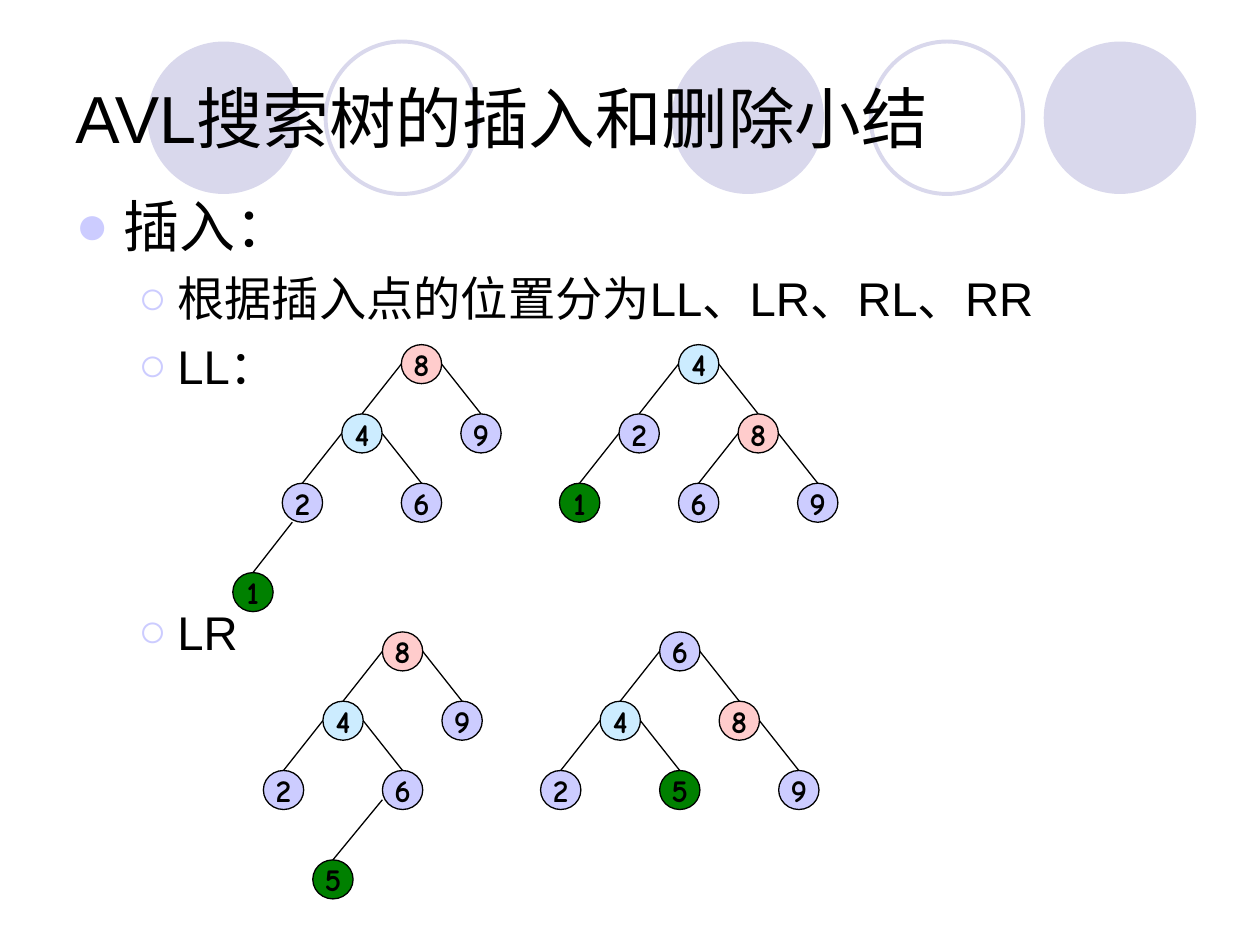
from dataclasses import dataclass
from lxml import etree
from pptx import Presentation, util as u
from pptx.dml.color import RGBColor
from pptx.enum import shapes as sh, text as tx
from pptx.oxml.ns import qn


@dataclass(frozen=True)
class Theme:
    """Colours, fonts and type sizes of the slide."""
    ink: str = "000000"
    pale: str = "D9D8EC"
    lilac: str = "CCCCFF"
    sky: str = "CCECFF"
    pink: str = "FFCCCC"
    green: str = "008000"
    sans: str = "Arial"
    comic: str = "Comic Neue"
    title: float = 38
    head: float = 32
    item: float = 27
    node: float = 18


T = Theme()
WIDE, HIGH = 10, 7.5
NODE_W, NODE_H = 0.32, 0.31
KEY_FILL = {8: T.pink, 4: T.sky}
DEEP = 3.29  # level of a newly hung leaf


def rgb(code):
    """Turn a hex code into a colour."""
    return RGBColor.from_string(code)


def inch(*sizes):
    """Turn inches into slide units."""
    return [u.Inches(size) for size in sizes]


def style(para, size, face=T.sans, bold=False):
    """Set the font of a paragraph."""
    font = para.font
    font.size, font.name, font.bold = u.Pt(size), face, bold
    font.color.rgb = rgb(T.ink)


def disc(slide, box, fill=None, line=None, weight=0.75):
    """Draw an ellipse in a box, filled or hollow."""
    oval = slide.shapes.add_shape(sh.MSO_SHAPE.OVAL, *inch(*box))
    oval.shadow.inherit = False
    if fill:
        oval.fill.solid()
        oval.fill.fore_color.rgb = rgb(fill)
    else:
        oval.fill.background()
    if line:
        oval.line.color.rgb = rgb(line)
        oval.line.width = u.Pt(weight)
    else:
        oval.line.fill.background()
    return oval


def band(slide, box):
    """Place the row of solid and hollow circles behind the title."""
    left, top, width, size = box
    for share, solid in ((0, 1), (0.17, 0), (0.5, 1), (0.69, 0), (0.855, 1)):
        spot = (left + share * width, top, size, size)
        if solid:
            disc(slide, spot, fill=T.pale)
        else:
            disc(slide, spot, line=T.pale, weight=2.25)


def frame(slide, box, anchor):
    """Add a wrapping text frame."""
    body = slide.shapes.add_textbox(*inch(*box)).text_frame
    body.word_wrap = True
    body.vertical_anchor = anchor
    return body


def title(slide, box, words):
    """Place the slide title."""
    para = frame(slide, box, tx.MSO_ANCHOR.MIDDLE).paragraphs[0]
    para.text = words
    style(para, T.title)


def bullet(para, mark, indent, hang):
    """Give a paragraph a coloured bullet and a hanging indent."""
    props = para._p.get_or_add_pPr()
    props.set("marL", str(u.Inches(indent)))
    props.set("indent", str(-u.Inches(hang)))
    tint = etree.SubElement(props, qn("a:buClr"))
    etree.SubElement(tint, qn("a:srgbClr"), val=T.lilac)
    etree.SubElement(props, qn("a:buFont"), typeface=T.sans)
    etree.SubElement(props, qn("a:buChar"), char=mark)


def outline(slide, box, rows):
    """Place the bulleted list; rows hold level, space before and words."""
    body = frame(slide, box, tx.MSO_ANCHOR.TOP)
    looks = ((T.head, "●", 0.38, 0.38), (T.item, "○", 0.81, 0.31))
    for place, (level, space, words) in enumerate(rows):
        para = body.add_paragraph() if place else body.paragraphs[0]
        size, *mark = looks[level]
        para.text, para.level = words, level
        para.space_before = u.Pt(space)
        bullet(para, *mark)
        style(para, size)


def edge(slide, start, end):
    """Draw a thin line between two points."""
    link = slide.shapes.add_connector(
        sh.MSO_CONNECTOR.STRAIGHT, *inch(*start, *end))
    link.line.color.rgb = rgb(T.ink)
    link.line.width = u.Pt(0.75)
    etree.SubElement(link._element.spPr, qn("a:effectLst"))


def node(slide, x, y, key, fill):
    """Draw a tree node around its centre."""
    box = (x - NODE_W / 2, y - NODE_H / 2, NODE_W, NODE_H)
    body = disc(slide, box, fill, T.ink).text_frame
    body.word_wrap = False
    body.vertical_anchor = tx.MSO_ANCHOR.MIDDLE
    para = body.paragraphs[0]
    para.text = str(key)
    para.alignment = tx.PP_ALIGN.CENTER
    style(para, T.node, T.comic, True)


def tree(slide, box, fresh, nodes, exit=None):
    """Draw a tree on four columns and two rows of a box.

    Nodes map a key to column, level and parent; fresh is the new key,
    and exit is where the edge to it leaves the parent, in radii.
    """
    left, top, width, height = box
    spots = {key: (left + col * width / 4, top + row * height / 2)
             for key, (col, row, _) in nodes.items()}
    for key, (x, y) in spots.items():
        node(slide, x, y, key,
             T.green if key == fresh else KEY_FILL.get(key, T.lilac))
        up = nodes[key][2]
        if up is None:
            continue
        px, py = spots[up]
        dx, dy = (1 if x > px else -1), 0
        if exit and key == fresh:
            dx, dy = exit
        edge(slide, (px + dx * NODE_W / 2, py + dy * NODE_H / 2),
             (x, y - NODE_H / 2))


def build():
    """Build the slide and save it."""
    deck = Presentation()
    deck.slide_width, deck.slide_height = inch(WIDE, HIGH)
    slide = deck.slides.add_slide(deck.slide_layouts[6])
    band(slide, (1.17, 0.33, 8.32, 1.21))
    title(slide, (0.5, 0.3, 9, 1.25), "AVL搜索树的插入和删除小结")
    outline(slide, (0.5, 1.47, 9, 5.24), (
        (0, 0, "插入："),
        (1, 6.2, "根据插入点的位置分为LL、LR、RL、RR"),
        (1, 6.2, "LL："),
        (1, 119.5, "LR")))

    start = {8: (2, 0, None), 4: (1, 1, 8), 9: (3, 1, 8),
             2: (0, 2, 4), 6: (2, 2, 4)}
    cases = (
        (2.4, 2.89, 1, {**start, 1: (-0.83, DEEP, 2)}, (-0.5, 1),
         {4: (2, 0, None), 2: (1, 1, 4), 8: (3, 1, 4),
          1: (0, 2, 2), 6: (2, 2, 8), 9: (4, 2, 8)}),
        (2.25, 5.17, 5, {**start, 5: (0.83, DEEP, 6)}, (-1, 0.5),
         {6: (2, 0, None), 4: (1, 1, 6), 8: (3, 1, 6),
          2: (0, 2, 4), 5: (2, 2, 4), 9: (4, 2, 8)}))
    for left, top, fresh, before, exit, after in cases:
        tree(slide, (left, top, 1.89, 1.1), fresh, before, exit)
        tree(slide, (left + 2.2, top, 1.89, 1.1), fresh, after)
    deck.save("out.pptx")


build()
